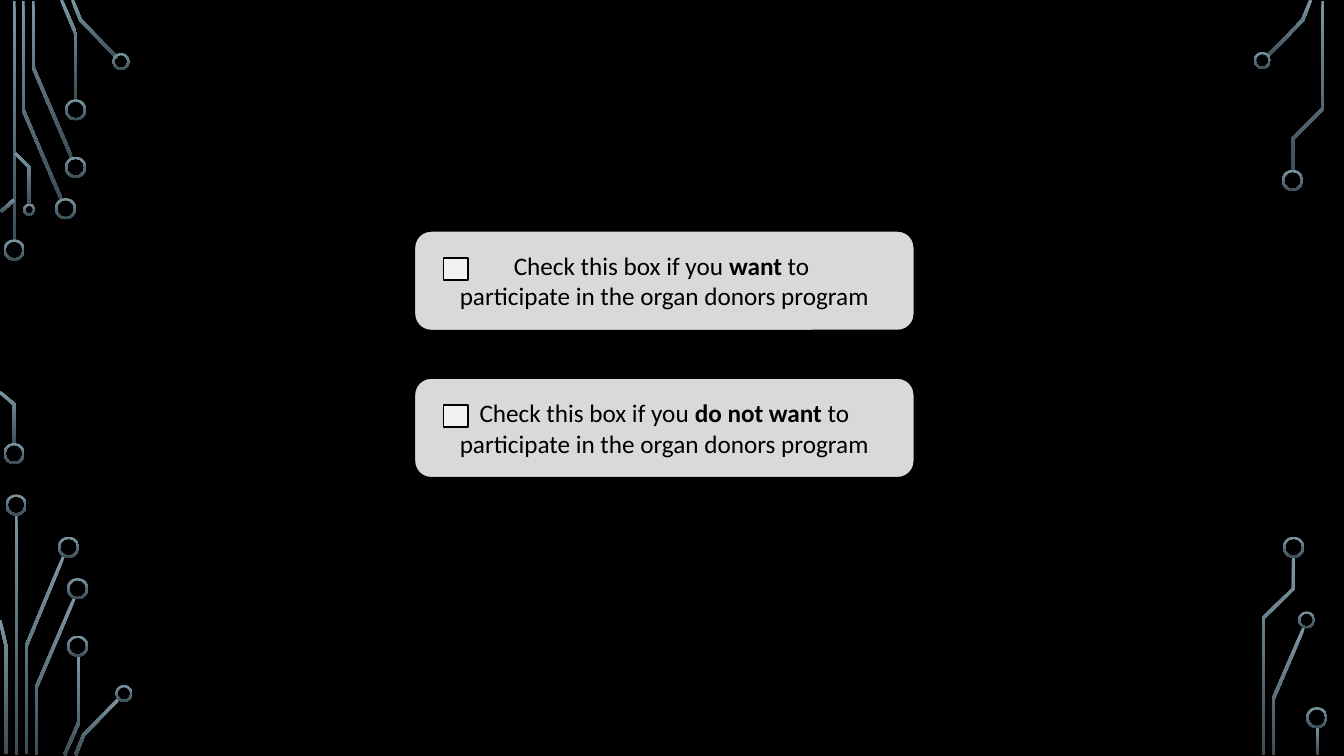
from math import hypot

from pptx import Presentation
from pptx.dml.color import RGBColor
from pptx.enum.shapes import MSO_SHAPE as SHAPE
from pptx.enum.text import MSO_ANCHOR as ANCHOR, PP_ALIGN as ALIGN
from pptx.util import Inches, Pt

COLORS = {
    "background": "000000",
    "trace_top": "7C96A3",
    "trace_bottom": "3B4C54",
    "card": "D9D9D9",
    "checkbox": "F2F2F2",
    "ink": "000000",
}
FONT = "Calibri"
TRACE_WIDTH = 0.03
RING_WIDTH = 0.02

TOP_LEFT = {
    "box": (0, 0),
    "traces": [
        [(0.14, 0.01), (0.14, 2.4)],
        [(0.23, 0.01), (0.23, 1.09), (0.61, 1.98)],
        [(0.33, 0.01), (0.33, 0.67), (0.71, 1.56)],
        [(0.61, 0), (0.75, 0.33), (0.75, 1)],
        [(0.72, 0), (0.8, 0.2), (1.16, 0.57)],
        [(0.14, 1.98), (0.01, 2.1)],
        [(0.15, 1.52), (0.29, 1.66), (0.29, 2.03)],
    ],
    "rings": [(0.14, 2.48, 0.21), (0.65, 2.07, 0.21), (0.75, 1.66, 0.21),
              (0.75, 1.09, 0.21), (1.2, 0.61, 0.17), (0.29, 2.08, 0.12)],
}
BOTTOM_LEFT = {
    "box": (0, 3.88),
    "traces": [
        [(0, 0.01), (0.14, 0.13), (0.14, 0.53)],
        [(0.16, 1.22), (0.16, 3.61)],
        [(0.26, 3.6), (0.26, 2.53), (0.63, 1.64)],
        [(0, 2.27), (0.06, 2.53), (0.06, 3.6)],
        [(0.36, 3.61), (0.36, 2.94), (0.74, 2.05)],
        [(0.64, 3.61), (0.78, 3.29), (0.78, 2.62)],
        [(0.75, 3.61), (0.83, 3.41), (1.18, 3.05)],
    ],
    "rings": [(0.14, 0.62, 0.21), (0.16, 1.13, 0.21), (0.68, 1.55, 0.21),
              (0.77, 1.96, 0.21), (0.77, 2.53, 0.21), (1.23, 3, 0.17)],
}
TOP_RIGHT = {
    "box": (12.43, 0),
    "traces": [
        [(0.57, 0), (0.49, 0.2), (0.14, 0.56)],
        [(0.69, 0.01), (0.69, 1.08), (0.39, 1.38), (0.39, 1.69)],
    ],
    "rings": [(0.09, 0.6, 0.17), (0.39, 1.79, 0.21)],
}
BOTTOM_RIGHT = {
    "box": (12.43, 5.32),
    "traces": [
        [(0.2, 2.17), (0.2, 1.61), (0.5, 0.91)],
        [(0.1, 2.17), (0.1, 0.81), (0.4, 0.52), (0.4, 0.2)],
        [(0.64, 1.89), (0.64, 2.17)],
    ],
    "rings": [(0.53, 0.83, 0.17), (0.4, 0.11, 0.21), (0.63, 1.8, 0.21)],
}


def rgb(name):
    return RGBColor.from_string(COLORS[name])


def paint_trace(sp):
    sp.shadow.inherit = False
    sp.fill.gradient()
    sp.fill.gradient_angle = 270
    for stop, name in zip(sp.fill.gradient_stops, ("trace_top", "trace_bottom")):
        stop.color.rgb = rgb(name)
    sp.line.fill.background()


def widen(points):
    normals = []
    for (x1, y1), (x2, y2) in zip(points, points[1:]):
        length = hypot(x2 - x1, y2 - y1)
        normals.append(((y1 - y2) / length, (x2 - x1) / length))
    left, right = [], []
    for (x, y), a, b in zip(points, normals[:1] + normals, normals + normals[-1:]):
        k = TRACE_WIDTH / 2 / (1 + a[0] * b[0] + a[1] * b[1])
        dx, dy = k * (a[0] + b[0]), k * (a[1] + b[1])
        left.append((x + dx, y + dy))
        right.append((x - dx, y - dy))
    return left + right[::-1]


def add_circuit(s, box, traces, rings):
    left, top = box
    for trace in traces:
        outline = [(Inches(left + x), Inches(top + y)) for x, y in widen(trace)]
        builder = s.shapes.build_freeform(*outline[0])
        builder.add_line_segments(outline[1:], close=True)
        paint_trace(builder.convert_to_shape())
    for x, y, size in rings:
        sp = s.shapes.add_shape(SHAPE.DONUT, Inches(left + x - size / 2),
                                Inches(top + y - size / 2), Inches(size), Inches(size))
        sp.adjustments[0] = RING_WIDTH / size
        paint_trace(sp)


def add_panel(s, kind, box, fill):
    sp = s.shapes.add_shape(kind, *map(Inches, box))
    sp.shadow.inherit = False
    sp.fill.solid()
    sp.fill.fore_color.rgb = rgb(fill)
    sp.line.color.rgb = rgb("ink")
    sp.line.width = Pt(1.25)
    return sp


def add_choice(s, box, paragraphs):
    left, top = box[:2]
    tf = add_panel(s, SHAPE.ROUNDED_RECTANGLE, box, "card").text_frame
    tf.word_wrap = True
    tf.vertical_anchor = ANCHOR.MIDDLE
    for i, runs in enumerate(paragraphs):
        p = tf.add_paragraph() if i else tf.paragraphs[0]
        p.alignment = ALIGN.CENTER
        for text, bold in runs:
            r = p.add_run()
            r.text = text
            r.font.name = FONT
            r.font.size = Pt(18)
            r.font.bold = bold
            r.font.color.rgb = rgb("ink")
    add_panel(s, SHAPE.RECTANGLE, (left + 0.29, top + 0.27, 0.24, 0.22), "checkbox")


def main():
    prs = Presentation()
    prs.slide_width, prs.slide_height = Inches(13.33), Inches(7.5)
    s = prs.slides.add_slide(prs.slide_layouts[6])
    s.background.fill.solid()
    s.background.fill.fore_color.rgb = rgb("background")
    for corner in (TOP_LEFT, BOTTOM_LEFT, TOP_RIGHT, BOTTOM_RIGHT):
        add_circuit(s, **corner)
    lead = ("Check this box if you ", False)
    program = "participate in the organ donors program"
    add_choice(s, (4.11, 2.29, 4.96, 0.99),
               [[lead, ("want", True), (" to ", False)], [(program, False)]])
    add_choice(s, (4.11, 3.75, 4.96, 0.99),
               [[lead, ("do not want", True), (" to " + program, False)]])
    prs.save("out.pptx")


if __name__ == "__main__":
    main()
